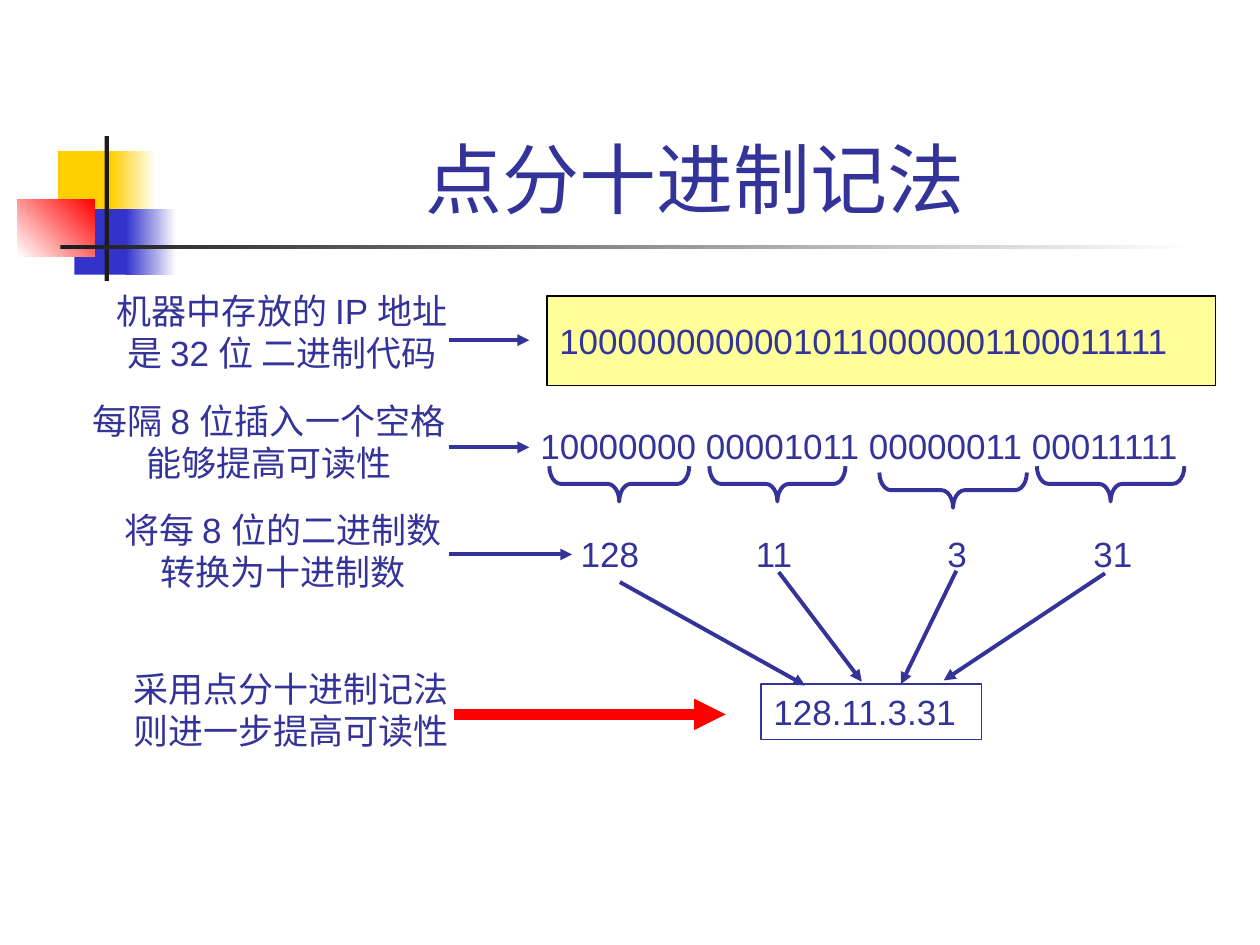
from dataclasses import dataclass

from lxml import etree
from pptx import Presentation
from pptx.dml.color import RGBColor
from pptx.enum.shapes import MSO_CONNECTOR, MSO_SHAPE
from pptx.enum.text import MSO_ANCHOR, MSO_AUTO_SIZE, PP_ALIGN
from pptx.oxml.ns import qn
from pptx.util import Inches, Pt

RECT, BRACE = MSO_SHAPE.RECTANGLE, MSO_SHAPE.LEFT_BRACE
STRAIGHT = MSO_CONNECTOR.STRAIGHT
LEFT, CENTER = PP_ALIGN.LEFT, PP_ALIGN.CENTER
TOP, MIDDLE, BOTTOM = MSO_ANCHOR.TOP, MSO_ANCHOR.MIDDLE, MSO_ANCHOR.BOTTOM
NO_FIT = MSO_AUTO_SIZE.NONE


@dataclass(frozen=True)
class Theme:
    font: str = "Arial"
    title: float = 44
    body: float = 20
    hairline: float = 0.75
    stroke: float = 2.25
    heavy: float = 6
    ink: str = "333399"
    white: str = "FFFFFF"
    black: str = "000000"
    dark: str = "1C1C1C"
    gold: str = "FFCF01"
    blue: str = "3333CC"
    red: str = "FF0000"
    pale: str = "FFFF99"


THEME = Theme()
COLUMNS, ROWS = 100, 75  # slide grid
CELL = Inches(10) // COLUMNS


@dataclass(frozen=True)
class Box:
    """An area in grid cells; inner areas are placed relative to its corner."""
    x: float
    y: float
    w: float
    h: float

    def inner(self, x, y, w, h):
        return Box(self.x + x, self.y + y, w, h)

    def emu(self):
        return [round(v * CELL) for v in (self.x, self.y, self.w, self.h)]


def rgb(code):
    return RGBColor.from_string(code)


def set_attrs(target, values):
    for name, value in values.items():
        setattr(target, name, value)


def write(shape, lines, size=THEME.body, align=LEFT, anchor=TOP, wrap=False):
    tf = shape.text_frame
    set_attrs(tf, {"word_wrap": wrap, "auto_size": NO_FIT, "vertical_anchor": anchor})
    tf.text = "\n".join(lines)
    for p in tf.paragraphs:
        p.alignment = align
        for r in p.runs:
            set_attrs(r.font, {"size": Pt(size), "name": THEME.font})
            r.font.color.rgb = rgb(THEME.ink)


def text(slide, box, lines, **style):
    tb = slide.shapes.add_textbox(*box.emu())
    write(tb, lines, **style)
    return tb


def shape(slide, box, fill=None, line=None, width=THEME.hairline, kind=RECT, angle=0):
    """A fill is None, one colour, or a (from, to) pair for a gradient."""
    sp = slide.shapes.add_shape(kind, *box.emu())
    sp.shadow.inherit = False
    if fill is None:
        sp.fill.background()
    elif isinstance(fill, tuple):
        sp.fill.gradient()
        sp.fill.gradient_angle = angle
        for stop, position, code in zip(sp.fill.gradient_stops, (0, 1), fill):
            stop.position = position
            stop.color.rgb = rgb(code)
    else:
        sp.fill.solid()
        sp.fill.fore_color.rgb = rgb(fill)
    if line is None:
        sp.line.fill.background()
    else:
        sp.line.color.rgb = rgb(line)
        sp.line.width = Pt(width)
    return sp


def arrow(slide, x1, y1, x2, y2, color=THEME.ink, width=THEME.stroke):
    cx = slide.shapes.add_connector(STRAIGHT, *(round(v * CELL) for v in (x1, y1, x2, y2)))
    cx.line.color.rgb = rgb(color)
    cx.line.width = Pt(width)
    spPr = cx._element.spPr
    etree.SubElement(spPr.find(qn("a:ln")), qn("a:tailEnd"), type="triangle")
    etree.SubElement(spPr, qn("a:effectLst"))


def ornament(slide, box):
    t = THEME
    # Colour blocks, each fading into the page
    for x, y, w, h, fill, angle in (
        (3.2, 1.2, 4.8, 5.2, t.gold, 0),
        (7.4, 1.2, 3.6, 5.2, (t.gold, t.white), 0),
        (4.5, 5.8, 4.6, 5.2, t.blue, 0),
        (8.6, 5.8, 4, 5.2, (t.blue, t.white), 0),
        (0, 5, 6.1, 4.6, (t.white, t.red), 45),
        # Crossing rules
        (6.9, 0, 0.35, 11.5, t.dark, 0),
        (3.4, 8.65, 90, 0.35, (t.dark, t.white), 0),
    ):
        shape(slide, box.inner(x, y, w, h), fill, angle=angle)


def title(slide, box, wording):
    ph = slide.shapes.title
    set_attrs(ph, dict(zip(("left", "top", "width", "height"), box.emu())))
    write(ph, [wording], size=THEME.title, align=CENTER, anchor=BOTTOM, wrap=True)


def step(slide, box, lines, arrow_y, arrow_end):
    """A label on the left with an arrow leading to its result."""
    text(slide, box, lines, align=CENTER)
    arrow(slide, 35.6, arrow_y, arrow_end, arrow_y)


def binary_forms(slide, box):
    # Undivided 32 bits
    sp = shape(slide, box.inner(1.5, 0, 53.1, 7.1), THEME.pale, THEME.black)
    write(sp, ["10000000000010110000001100011111"], anchor=MIDDLE)
    # Four groups of 8 bits, each with a brace below
    text(slide, box.inner(0, 9.7, 54.6, 4.4), ["10000000 00001011 00000011 00011111"])
    depth = 2.8
    for x, y, length in ((1.7, 13.5, 11.1), (14.4, 13.5, 10.8),
                         (27.9, 14, 11.7), (40.4, 13.5, 11.7)):
        # The brace is laid out upright, then turned about its centre
        upright = box.inner(x + (length - depth) / 2, y + (depth - length) / 2, depth, length)
        sp = shape(slide, upright, line=THEME.ink, width=THEME.stroke, kind=BRACE)
        sp.rotation = 270
        sp.adjustments[0] = 0.33


def decimal_forms(slide, box):
    # Four decimal numbers on tab stops
    tb = text(slide, box.inner(0, 0, 46.8, 4.4), ["128\t11\t3\t31"], wrap=True)
    pPr = tb.text_frame.paragraphs[0]._p.get_or_add_pPr()
    tabs = etree.SubElement(pPr, qn("a:tabLst"))
    for stop in (13.9, 29.1, 40.7):
        etree.SubElement(tabs, qn("a:tab"), pos=str(round(stop * CELL)), algn="l")
    # Dotted result
    sp = shape(slide, box.inner(15.3, 12.5, 17.5, 4.4), line=THEME.ink)
    write(sp, ["128.11.3.31"])
    # Arrows gathering the numbers
    for x1, y1, x2, y2 in ((4.1, 4.4, 18.8, 12.6), (16.7, 3.6, 23.3, 12.3),
                           (30.8, 3.5, 26.4, 12.5), (42.6, 3.7, 29.8, 12.2)):
        arrow(slide, box.x + x1, box.y + y1, box.x + x2, box.y + y2)


def main():
    prs = Presentation()
    prs.slide_width, prs.slide_height = COLUMNS * CELL, ROWS * CELL
    slide = prs.slides.add_slide(prs.slide_layouts[5])

    ornament(slide, Box(1.4, 10.8, 95, 11.5))
    title(slide, Box(12.6, 2.3, 85.2, 16), "点分十进制记法")
    binary_forms(slide, Box(41.9, 23.5, 54.6, 17))
    decimal_forms(slide, Box(45.1, 41.8, 46.8, 17))

    # Explanations of the steps
    step(slide, Box(7.6, 22.5, 29.6, 7.7), ["机器中存放的 IP 地址", "是 32 位 二进制代码"], 27, 42)
    step(slide, Box(5.7, 31.2, 31.3, 7.7), ["每隔 8 位插入一个空格", "能够提高可读性"], 35.5, 42)
    step(slide, Box(8.2, 39.9, 28.5, 7.7), ["将每 8 位的二进制数", "转换为十进制数"], 44, 45.4)
    text(slide, Box(9.6, 52.5, 27, 7.7), ["采用点分十进制记法", "则进一步提高可读性"])
    arrow(slide, 36, 56.7, 57.6, 56.7, THEME.red, THEME.heavy)

    prs.save("out.pptx")


if __name__ == "__main__":
    main()
